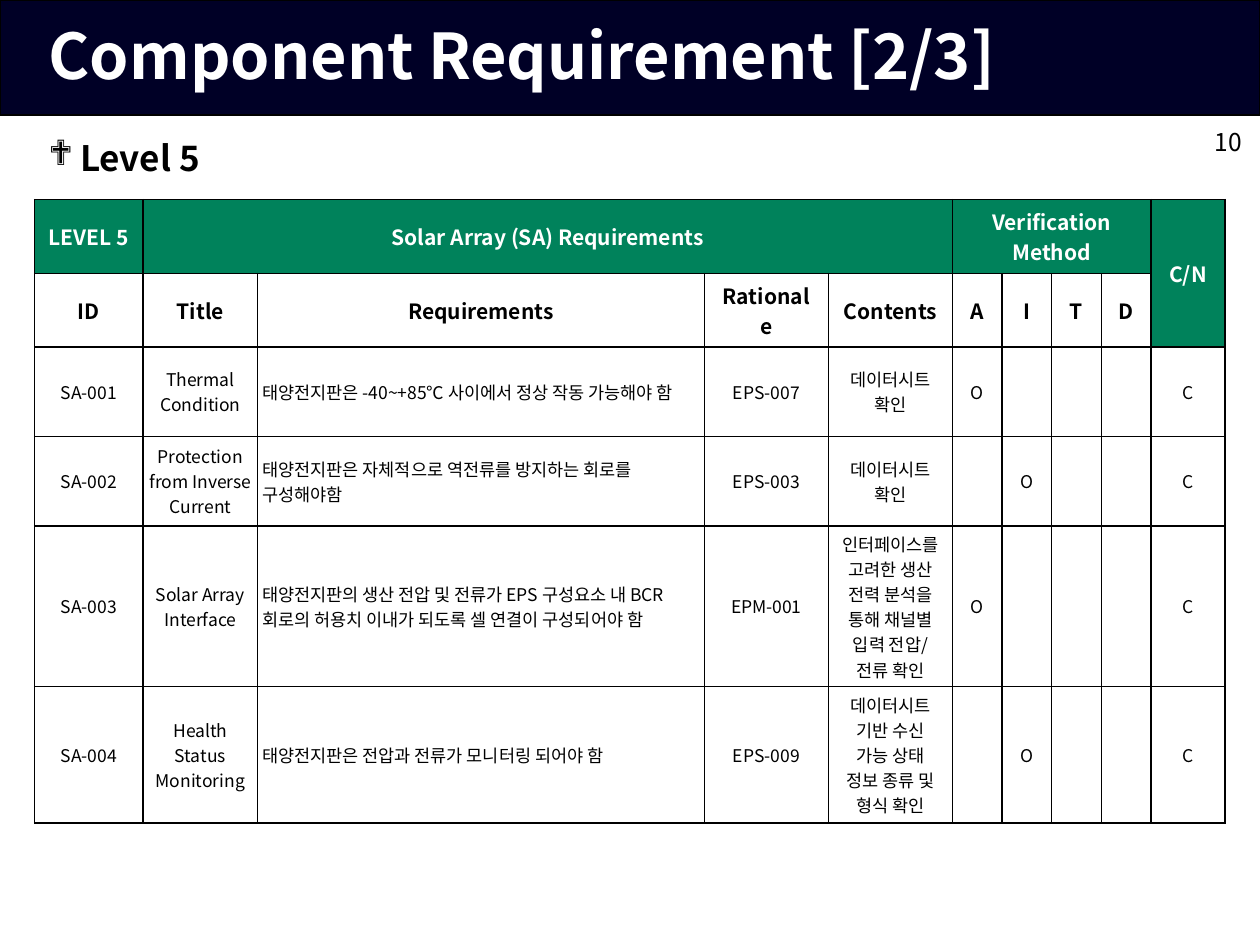
from lxml.etree import SubElement
from pptx import Presentation
from pptx.dml.color import RGBColor
from pptx.enum.shapes import MSO_SHAPE
from pptx.enum.text import MSO_ANCHOR, PP_ALIGN
from pptx.oxml.ns import qn
from pptx.util import Inches, Pt

FONT = "Noto Sans CJK KR"
COLORS = {"navy": "000026", "green": "00825B", "white": "FFFFFF", "black": "000000"}

presentation = Presentation()
presentation.slide_width, presentation.slide_height = Inches(10), Inches(7.5)
slide = presentation.slides.add_slide(presentation.slide_layouts[1])


def share(percent):
    """Turn a percentage of the slide's width into a length."""
    return int(presentation.slide_width * percent / 100)


def format_text(frame, size, color, bold, alignment):
    frame.word_wrap = True
    frame.vertical_anchor = MSO_ANCHOR.MIDDLE
    for paragraph in frame.paragraphs:
        paragraph.alignment = alignment
        for run in paragraph.runs:
            for name, value in {"name": FONT, "size": Pt(size), "bold": bold}.items():
                setattr(run.font, name, value)
            run.font.color.rgb = RGBColor.from_string(COLORS[color])
            SubElement(run.font._element, qn("a:ea"), typeface=FONT)


# Title band, behind the placeholders
band = slide.shapes.add_shape(MSO_SHAPE.RECTANGLE, 0, 0, share(100), share(9.15))
band.shadow.inherit = False
band.fill.solid()
band.fill.fore_color.rgb = RGBColor.from_string(COLORS["navy"])
band.line.color.rgb = RGBColor.from_string(COLORS["black"])
band.line.width = Pt(1)
slide.shapes._spTree.insert(2, band._element)

# Title, heading and page number
title, body = slide.placeholders
page_number = slide.shapes.add_textbox(0, 0, 0, 0)
texts = [
    (title, "Component Requirement [2/3]", (2.85, 0.25, 94.5, 8.9), 36, "white", True, PP_ALIGN.LEFT),
    (body, "Level 5", (2.85, 10.3, 94.5, 62.9), 20, "black", True, PP_ALIGN.LEFT),
    (page_number, "10", (83.2, 9.3, 16.8, 3.9), 14, "black", False, PP_ALIGN.RIGHT),
]
for shape, text, box, size, color, bold, alignment in texts:
    shape.left, shape.top, shape.width, shape.height = map(share, box)
    shape.text_frame.text = text
    format_text(shape.text_frame, size, color, bold, alignment)
title.text_frame.paragraphs[0].line_spacing = 0.9
page_number.text_frame.margin_right = share(1.45)

body.text_frame.vertical_anchor = MSO_ANCHOR.TOP
heading = body.text_frame.paragraphs[0]
heading.space_before = Pt(0)
heading_properties = heading._p.get_or_add_pPr()
heading_properties.set("marL", str(share(2.5)))
heading_properties.set("indent", str(share(-3.9)))
SubElement(heading_properties, qn("a:buFont"), typeface="Wingdings", charset="2")
SubElement(heading_properties, qn("a:buChar"), char="❖")

# Requirements table: \n starts a paragraph, \v breaks a line
METHODS = "AITD"
requirements = [
    ("SA-001", "Thermal\nCondition", "태양전지판은 -40~+85℃ 사이에서 정상 작동 가능해야 함",
     "EPS-007", "데이터시트\n확인", "A"),
    ("SA-002", "Protection\vfrom Inverse Current", "태양전지판은 자체적으로 역전류를 방지하는 회로를 구성해야함",
     "EPS-003", "데이터시트\n확인", "I"),
    ("SA-003", "Solar Array\nInterface",
     "태양전지판의 생산 전압 및 전류가 EPS 구성요소 내 BCR 회로의 허용치 이내가 되도록 셀 연결이 구성되어야 함",
     "EPM-001", "인터페이스를\v고려한 생산\n전력 분석을\n통해 채널별\v입력 전압/\n전류 확인", "A"),
    ("SA-004", "Health\nStatus\vMonitoring", "태양전지판은 전압과 전류가 모니터링 되어야 함",
     "EPS-009", "데이터시트\n기반 수신\n가능 상태\n정보 종류 및\n형식 확인", "I"),
]
rows = [
    ["LEVEL 5", "Solar Array (SA) Requirements", "", "", "", "Verification Method", "", "", "", "C/N"],
    ["ID", "Title", "Requirements", "Rationale", "Contents", *METHODS, ""],
]
for *details, method in requirements:
    rows.append([*details, *("O" if method == letter else "" for letter in METHODS), "C"])

column_widths = [8.6, 9.1, 35.45, 9.85, 9.85] + [3.94] * len(METHODS) + [5.9]
row_heights = [5.85, 5.85, 7.1, 7.1, 12.75, 10.85]
table = slide.shapes.add_table(
    len(rows), len(column_widths), share(2.75), share(15.85), share(sum(column_widths)), share(sum(row_heights))
).table
table.first_row = table.horz_banding = False
for column, width in zip(table.columns, column_widths):
    column.width = share(width)
for row, height in zip(table.rows, row_heights):
    row.height = share(height)

for row_index, row in enumerate(rows):
    for column_index, text in enumerate(row):
        cell = table.cell(row_index, column_index)
        is_green = row_index == 0 or (row_index == 1 and column_index == len(row) - 1)
        is_header = row_index < 2
        cell.text = text
        is_sentence = not is_header and column_index == 2
        format_text(cell.text_frame, 12 if is_header else 10, "white" if is_green else "black",
                    is_header, PP_ALIGN.LEFT if is_sentence else PP_ALIGN.CENTER)
        cell.vertical_anchor = MSO_ANCHOR.MIDDLE
        if not is_header:
            for side in ("left", "right", "top", "bottom"):
                setattr(cell, f"margin_{side}", share(0.4))
        for side in "LRTB":
            border = SubElement(cell._tc.get_or_add_tcPr(), qn(f"a:ln{side}"), w=str(Pt(1)))
            border_fill = SubElement(border, qn("a:solidFill"))
            SubElement(border_fill, qn("a:srgbClr"), val=COLORS["black"])
        cell.fill.solid()
        cell.fill.fore_color.rgb = RGBColor.from_string(COLORS["green" if is_green else "white"])

for first, last in [((0, 1), (0, 4)), ((0, 5), (0, 8)), ((0, 9), (1, 9))]:
    table.cell(*first).merge(table.cell(*last))

presentation.save("out.pptx")
